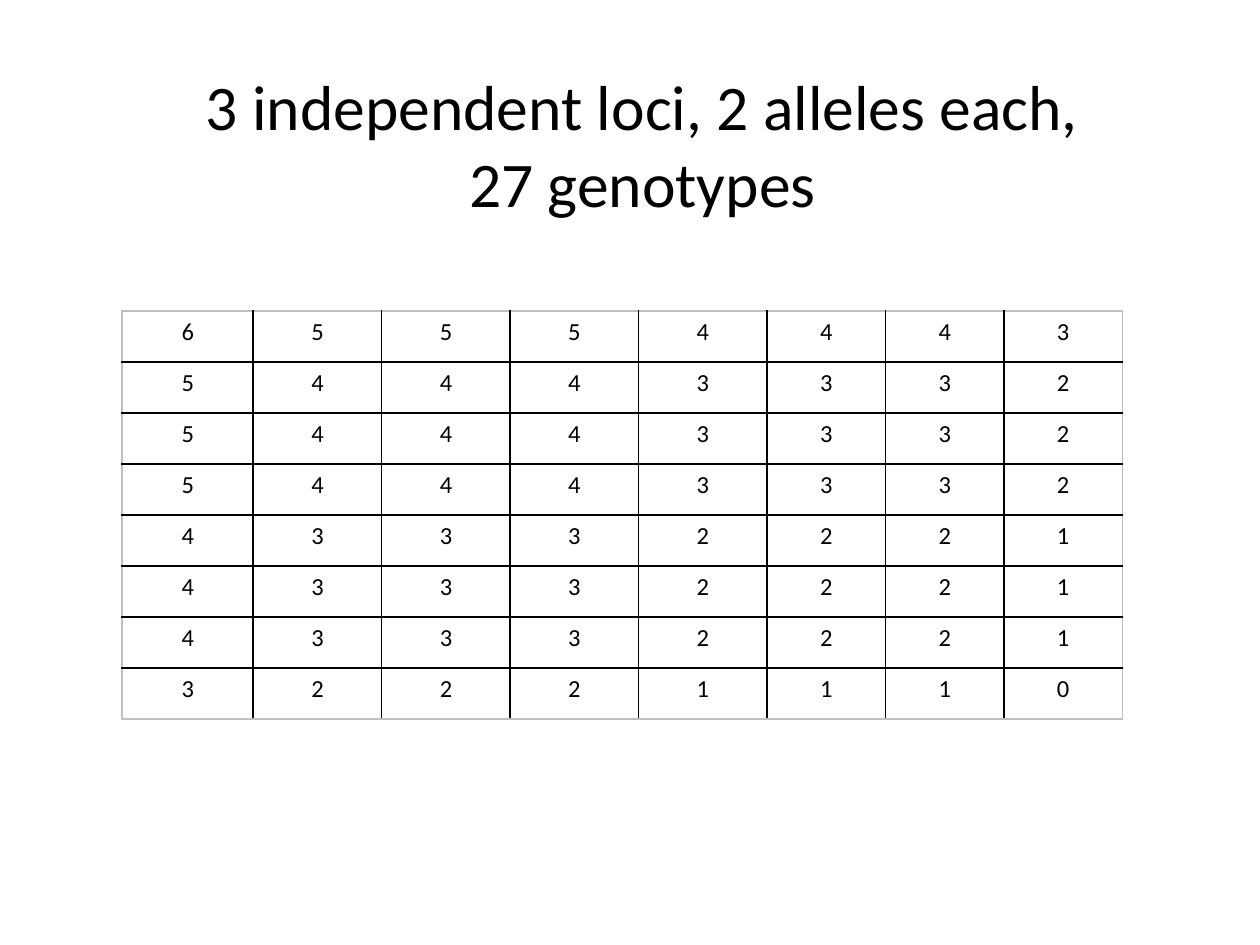
"""Build a slide with the table of allele counts for three independent loci."""
from lxml import etree
from pptx import Presentation
from pptx import util as u
from pptx.dml.color import RGBColor
from pptx.enum import text
from pptx.oxml.ns import qn

TITLE = ("3 independent loci, 2 alleles each,", "27 genotypes")
GAMETE_ALLELES = (3, 2, 2, 2, 1, 1, 1, 0)
COLUMN_WIDTHS = (1.04,) + (1.02,) * 4 + (0.94,) * 3
ROW_HEIGHT = 0.405
TABLE_LEFT, TABLE_TOP = 0.97, 2.47
INK, INNER_LINE, OUTER_LINE = "000000", "000000", "BFBFBF"


def style(paragraph, size):
    paragraph.alignment = text.PP_ALIGN.CENTER
    paragraph.font.name = "Calibri"
    paragraph.font.size = u.Pt(size)
    paragraph.font.color.rgb = RGBColor.from_string(INK)


def set_border(cell, side, color):
    line = etree.SubElement(cell._tc.get_or_add_tcPr(), qn(f"a:{side}"), w=str(u.Pt(1)))
    fill = etree.SubElement(line, qn("a:solidFill"))
    etree.SubElement(fill, qn("a:srgbClr"), val=color)


def add_title(page):
    box = page.shapes.add_textbox(u.Inches(0.6), u.Inches(0.6), u.Inches(9), u.Inches(1.08))
    frame = box.text_frame
    frame.word_wrap = True
    frame.vertical_anchor = text.MSO_ANCHOR.MIDDLE
    frame.text = "\v".join(TITLE)
    style(frame.paragraphs[0], 36.3)


def add_allele_table(page):
    count = len(GAMETE_ALLELES)
    last = count - 1
    frame = page.shapes.add_table(
        count, count, u.Inches(TABLE_LEFT), u.Inches(TABLE_TOP),
        u.Inches(sum(COLUMN_WIDTHS)), u.Inches(ROW_HEIGHT * count))
    table = frame.table
    table.first_row = table.horz_banding = False
    for column, width in zip(table.columns, COLUMN_WIDTHS):
        column.width = u.Inches(width)
    for r, from_mother in enumerate(GAMETE_ALLELES):
        table.rows[r].height = u.Inches(ROW_HEIGHT)
        for c, from_father in enumerate(GAMETE_ALLELES):
            cell = table.cell(r, c)
            cell.text = str(from_mother + from_father)
            style(cell.text_frame.paragraphs[0], 14)
            edges = {"lnL": c == 0, "lnR": c == last, "lnT": r == 0, "lnB": r == last}
            for side, outer in edges.items():
                set_border(cell, side, OUTER_LINE if outer else INNER_LINE)
            cell.fill.background()


def main():
    deck = Presentation()
    deck.slide_width, deck.slide_height = u.Inches(10), u.Inches(7.5)
    page = deck.slides.add_slide(deck.slide_layouts[6])
    add_title(page)
    add_allele_table(page)
    deck.save("out.pptx")


if __name__ == "__main__":
    main()
